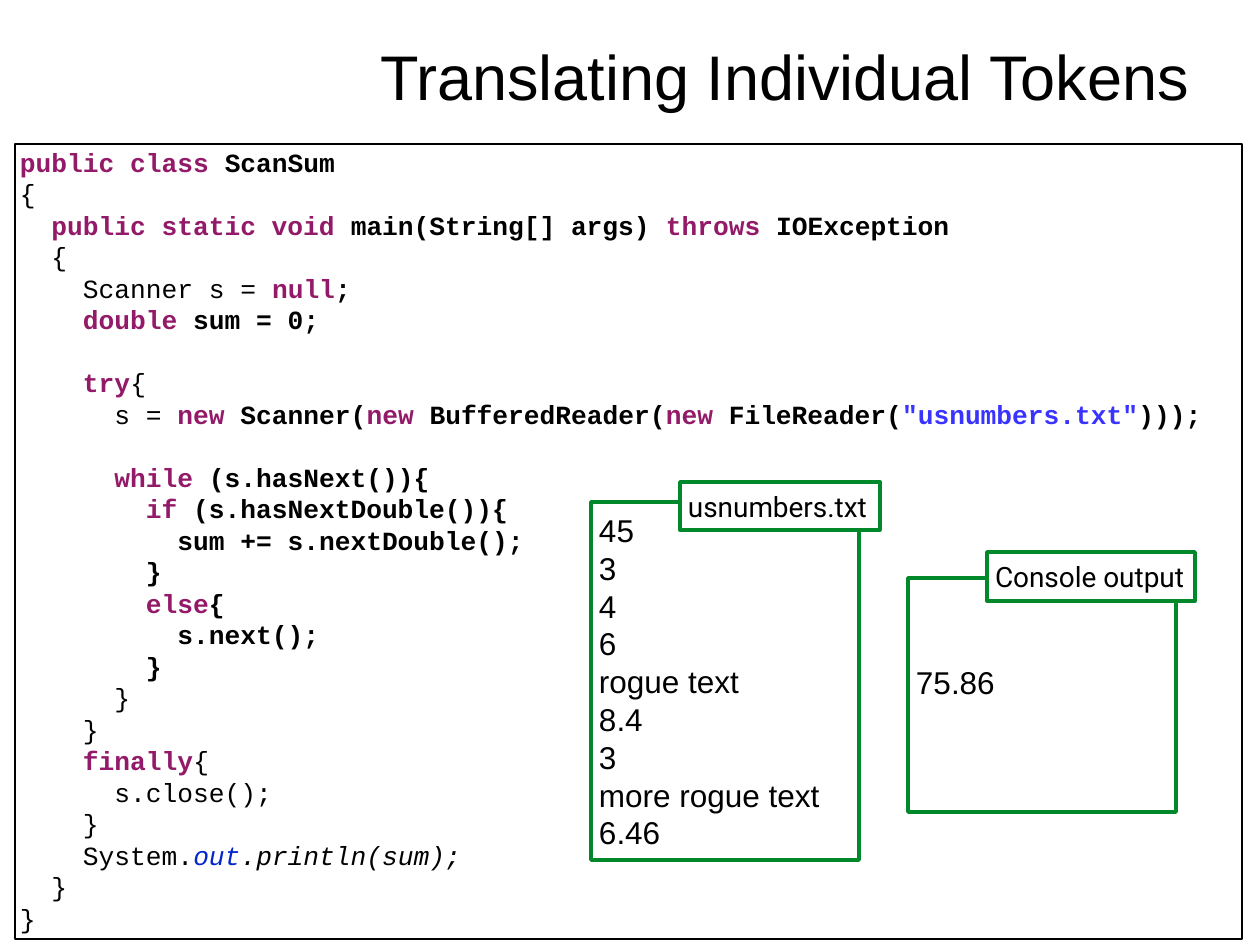
from pptx import Presentation
from pptx import util as u
from pptx.dml.color import RGBColor
from pptx.enum import shapes, text

BLACK = RGBColor(0x00, 0x00, 0x00)
WHITE = RGBColor(0xFF, 0xFF, 0xFF)
GREEN = RGBColor(0x00, 0x88, 0x2B)
PURPLE = RGBColor(0x93, 0x1A, 0x68)
BLUE = RGBColor(0x39, 0x33, 0xFF)
FIELD_BLUE = RGBColor(0x03, 0x26, 0xCC)

TITLE = "Translating Individual Tokens"

STYLES = {
    "plain": (BLACK, False, False),
    "bold": (BLACK, True, False),
    "key": (PURPLE, True, False),
    "string": (BLUE, True, False),
    "field": (FIELD_BLUE, False, True),
    "italic": (BLACK, False, True),
}

GAP = None
CODE = [
    (0, ("public class ", "key"), ("ScanSum", "bold")),
    (0, ("{", "plain")),
    (1, ("public static void", "key"), (" main(String[] args) ", "bold"),
     ("throws ", "key"), ("IOException", "bold")),
    (1, ("{", "plain")),
    (2, ("Scanner s = ", "plain"), ("null", "key"), (";", "bold")),
    (2, ("double", "key"), (" sum = 0;", "bold")),
    GAP,
    (2, ("try", "key"), ("{", "plain")),
    (3, ("s = ", "plain"), ("new", "key"), (" Scanner(", "bold"),
     ("new ", "key"), ("BufferedReader(", "bold"), ("new ", "key"),
     ("FileReader(", "bold"), ('"usnumbers.txt"', "string"), (")));", "bold")),
    GAP,
    (3, ("while", "key"), (" (s.hasNext()){", "bold")),
    (4, ("if", "key"), (" (s.hasNextDouble()){", "bold")),
    (5, ("sum += s.nextDouble();", "bold")),
    (4, ("}", "bold")),
    (4, ("else", "key"), ("{", "bold")),
    (5, ("s.next();", "bold")),
    (4, ("}", "bold")),
    (3, ("}", "plain")),
    (2, ("}", "plain")),
    (2, ("finally", "key"), ("{", "plain")),
    (3, ("s.close();", "plain")),
    (2, ("}", "plain")),
    (2, ("System.", "plain"), ("out", "field"), (".println(sum);", "italic")),
    (1, ("}", "plain")),
    (0, ("}", "plain")),
]

FILE_LINES = ["45", "3", "4", "6", "rogue text", "8.4", "3",
              "more rogue text", "6.46"]

PANELS = [
    ((591, 502, 268, 358), FILE_LINES, 8, (680, 482, 200, 48), "usnumbers.txt"),
    ((908, 578, 268, 234), ["75.86"], 34, (987, 552, 208, 49), "Console output"),
]

LINE_HEIGHT = 1.2
INDENT_PT = 18


def px(n):
    return round(n * 914400 / 126)


def plain(lines):
    return [(0, (line, "plain")) for line in lines]


def write(sp, lines, size, font="Arial", align=text.PP_ALIGN.LEFT,
          anchor=text.MSO_ANCHOR.MIDDLE, insets=(8, 8, 8, 8)):
    tf = sp.text_frame
    tf.word_wrap = True
    tf.auto_size = text.MSO_AUTO_SIZE.NONE
    tf.vertical_anchor = anchor
    (tf.margin_left, tf.margin_top,
     tf.margin_right, tf.margin_bottom) = map(px, insets)
    p, gap = tf.paragraphs[0], 0
    for i, line in enumerate(lines):
        if line is GAP:
            gap += size * LINE_HEIGHT
            continue
        depth, *runs = line
        if i:
            p = tf.add_paragraph()
        p.alignment = align
        p.line_spacing = u.Pt(size * LINE_HEIGHT)
        p.space_before = u.Pt(gap)
        gap = 0
        if depth:
            pPr = p._p.get_or_add_pPr()
            pPr.set("marL", str(u.Pt(depth * INDENT_PT)))
            pPr.set("indent", "0")
        for content, style in runs:
            r = p.add_run()
            r.text = content
            r.font.name, r.font.size = font, u.Pt(size)
            r.font.color.rgb, r.font.bold, r.font.italic = STYLES[style]


def add_box(s, at, color, width):
    sp = s.shapes.add_shape(shapes.MSO_SHAPE.RECTANGLE, *map(px, at))
    sp.shadow.inherit = False
    sp.fill.solid()
    sp.fill.fore_color.rgb = WHITE
    sp.line.color.rgb = color
    sp.line.width = u.Pt(width)
    return sp


def main():
    prs = Presentation()
    prs.slide_width, prs.slide_height = px(1260), px(945)
    s = prs.slides.add_slide(prs.slide_layouts[5])

    title = s.shapes.title
    title.left, title.top, title.width, title.height = map(px, (63, 0, 1134, 150))
    write(title, plain([TITLE]), 36, align=text.PP_ALIGN.RIGHT)

    code = add_box(s, (15, 144, 1227, 795), BLACK, 1)
    write(code, CODE, 15, font="Courier New",
          anchor=text.MSO_ANCHOR.TOP, insets=(5, 2, 0, 0))

    for at, lines, bottom, label_at, label in PANELS:
        write(add_box(s, at, GREEN, 2), plain(lines), 18,
              insets=(8, 8, 8, bottom))
        write(add_box(s, label_at, GREEN, 2), plain([label]), 16, font="Roboto")

    prs.save("out.pptx")


if __name__ == "__main__":
    main()
